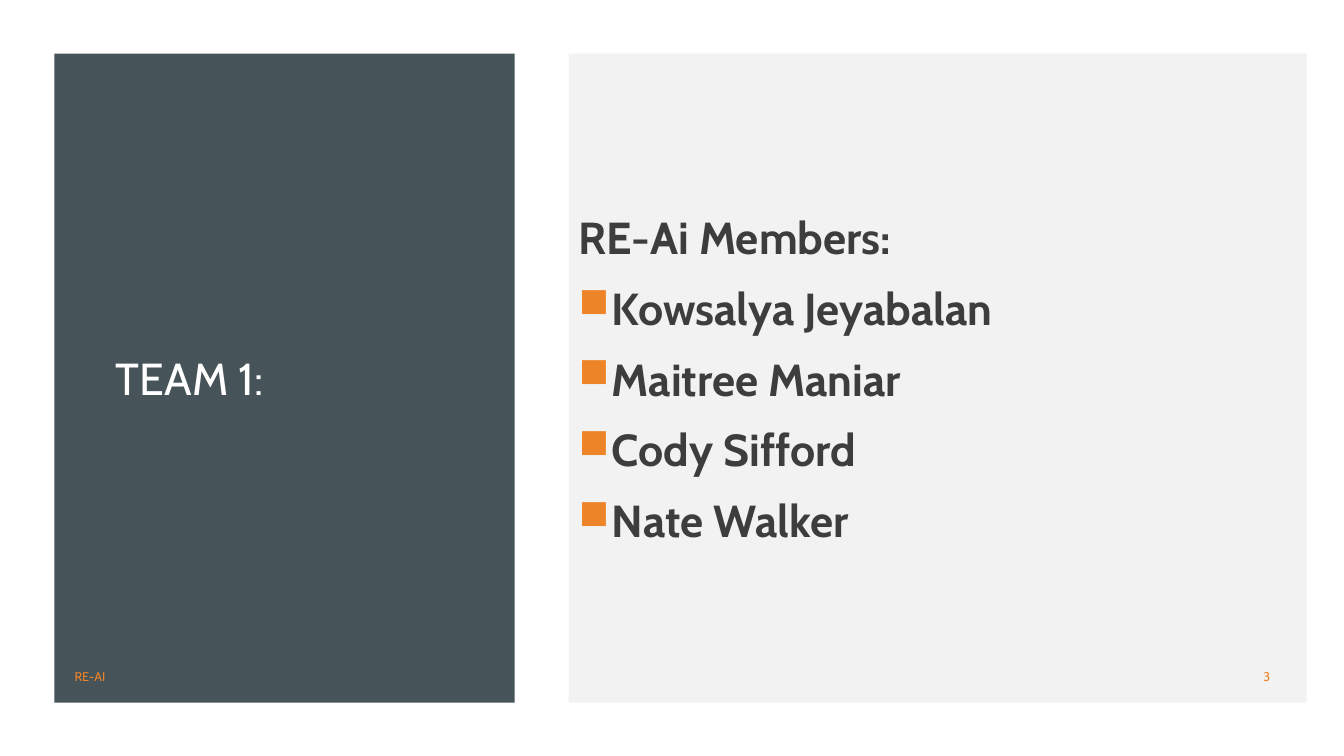
from lxml import etree
from pptx import Presentation
from pptx.dml.color import RGBColor
from pptx.enum.shapes import MSO_SHAPE
from pptx.enum.text import MSO_ANCHOR, PP_ALIGN
from pptx.oxml.ns import qn
from pptx.util import Cm, Pt

RECTANGLE = MSO_SHAPE.RECTANGLE
MIDDLE = MSO_ANCHOR.MIDDLE
LEFT, RIGHT = PP_ALIGN.LEFT, PP_ALIGN.RIGHT

WHITE, SLATE, PALE = "FFFFFF", "465359", "F2F2F2"
CHARCOAL, ORANGE = "3D3D3D", "ED8428"
MEMBERS = ["Kowsalya Jeyabalan", "Maitree Maniar", "Cody Sifford", "Nate Walker"]


def color(value):
    return RGBColor.from_string(value)


def set_all(target, values):
    for name, value in values.items():
        setattr(target, name, value)


class TeamSlide:
    font_name = "Cabin"
    bullet_indent = Cm(0.84)

    def __init__(self, presentation):
        self.slide = presentation.slides.add_slide(presentation.slide_layouts[6])
        background = self.slide.background.fill
        background.solid()
        background.fore_color.rgb = color(WHITE)

    def panel(self, left, top, width, height, fill):
        shape = self.slide.shapes.add_shape(
            RECTANGLE, Cm(left), Cm(top), Cm(width), Cm(height))
        shape.shadow.inherit = False
        shape.fill.solid()
        shape.fill.fore_color.rgb = color(fill)
        shape.line.fill.background()
        return shape

    def text_box(self, left, top, width, height, text, size, text_color, align=LEFT):
        box = self.slide.shapes.add_textbox(Cm(left), Cm(top), Cm(width), Cm(height))
        set_all(box.text_frame, {"word_wrap": True, "vertical_anchor": MIDDLE})
        self.add_text(box.text_frame.paragraphs[0], text, size, text_color, align)

    def add_text(self, paragraph, text, size, text_color, align=LEFT, bold=False):
        paragraph.alignment = align
        run = paragraph.add_run()
        run.text = text
        set_all(run.font, {"name": self.font_name, "size": Pt(size), "bold": bold})
        run.font.color.rgb = color(text_color)

    def member_list(self, shape, heading, members):
        frame = shape.text_frame
        set_all(frame, {"word_wrap": True, "vertical_anchor": MIDDLE})
        for index, text in enumerate([heading, *members]):
            paragraph = frame.add_paragraph() if index else frame.paragraphs[0]
            set_all(paragraph, {"space_before": Pt(6), "space_after": Pt(6)})
            self.add_text(paragraph, text, 32, CHARCOAL, bold=True)
            if index:
                self.bullet(paragraph)

    def bullet(self, paragraph):
        properties = paragraph._p.get_or_add_pPr()
        properties.set("marL", str(self.bullet_indent))
        properties.set("indent", str(-self.bullet_indent))
        bullet_color = etree.SubElement(properties, qn("a:buClr"))
        etree.SubElement(bullet_color, qn("a:srgbClr"), val=ORANGE)
        etree.SubElement(properties, qn("a:buSzPct"), val="92000")
        etree.SubElement(properties, qn("a:buChar"), char="■")


def main():
    presentation = Presentation()
    set_all(presentation, {"slide_width": Cm(33.87), "slide_height": Cm(19.05)})
    team = TeamSlide(presentation)

    team.panel(1.37, 1.35, 11.6, 16.36, SLATE)
    team.text_box(2.67, 3.1, 9.1, 12.85, "TEAM 1:", 32, WHITE)
    members_panel = team.panel(14.33, 1.35, 18.6, 16.36, PALE)
    team.member_list(members_panel, "RE-Ai Members:", MEMBERS)

    team.text_box(29.34, 16.54, 2.92, 1.02, "3", 9, ORANGE, RIGHT)
    team.text_box(1.63, 16.54, 19.2, 1.02, "RE-AI", 9, ORANGE)

    presentation.save("out.pptx")


if __name__ == "__main__":
    main()
